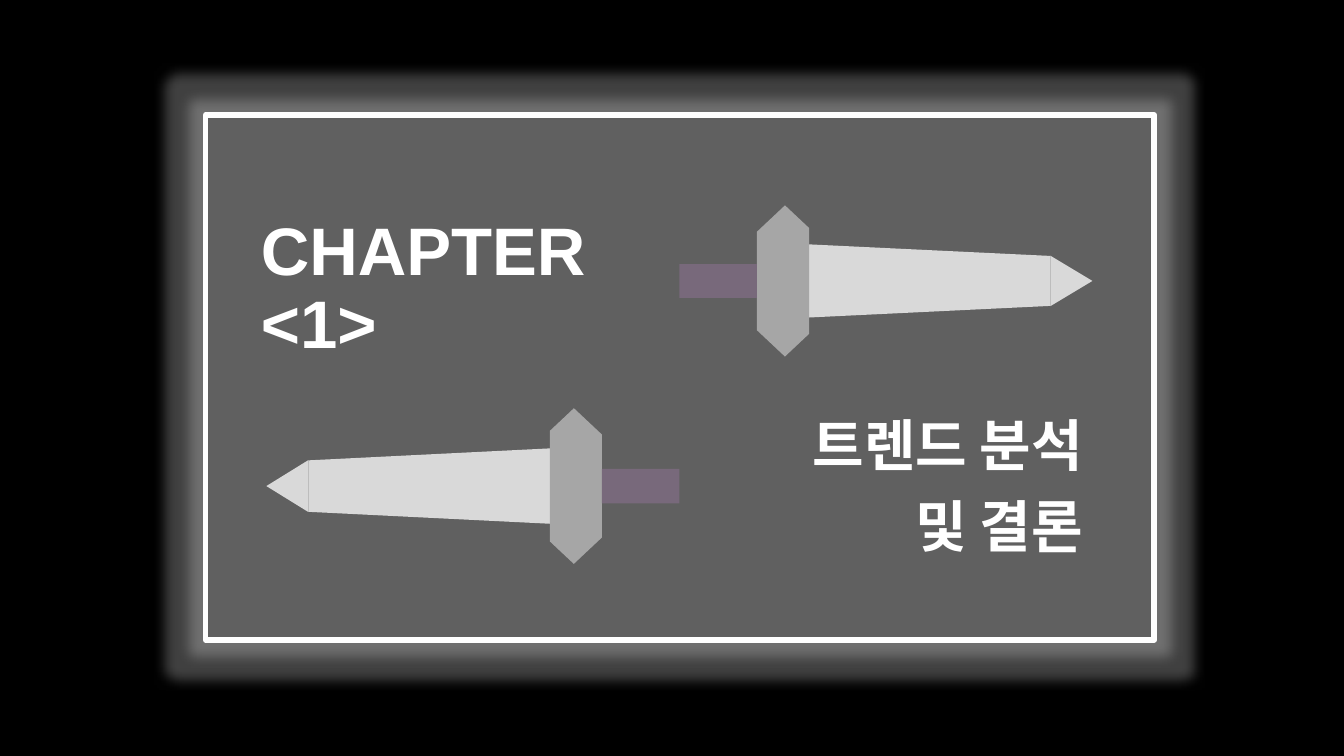
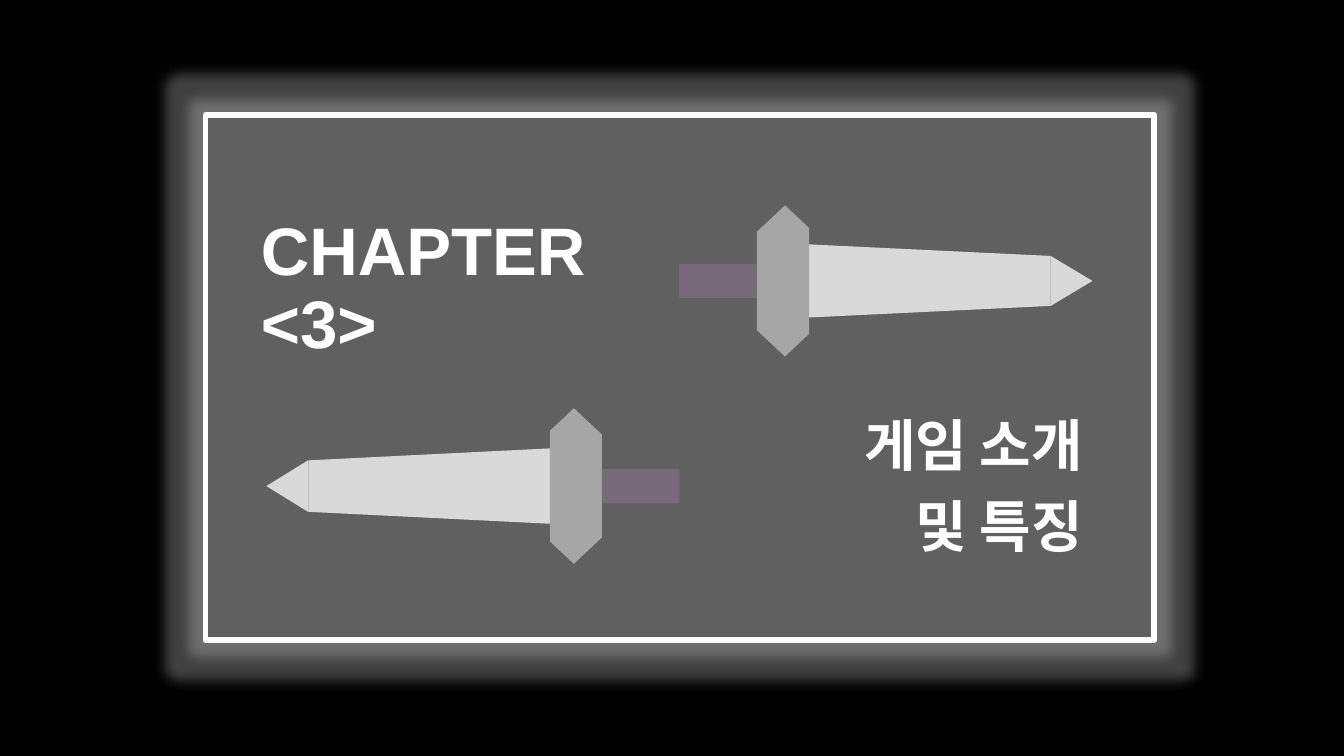
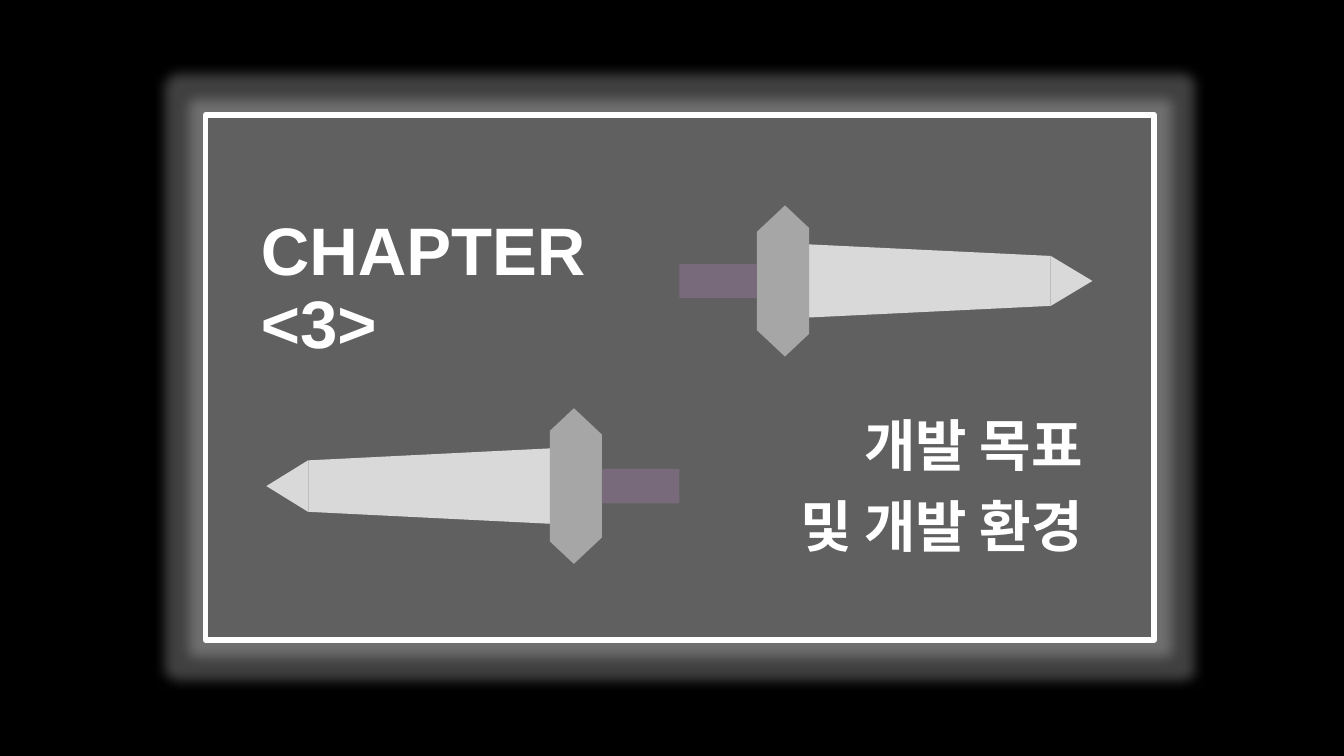
from lxml import etree
from pptx import Presentation
from pptx.dml.color import RGBColor
from pptx.enum.shapes import MSO_SHAPE
from pptx.enum.text import MSO_ANCHOR, PP_ALIGN
from pptx.oxml.ns import qn
from pptx.util import Pt

RECTANGLE = MSO_SHAPE.RECTANGLE
TRAPEZOID = MSO_SHAPE.TRAPEZOID
TRIANGLE = MSO_SHAPE.ISOSCELES_TRIANGLE
LEFT, RIGHT = PP_ALIGN.LEFT, PP_ALIGN.RIGHT
BOTTOM = MSO_ANCHOR.BOTTOM

COLORS = {
    "background": "000000",
    "panel": "262626",
    "white": "FFFFFF",
    "guard": "A6A6A6",
    "grip": "78697B",
    "blade": "D9D9D9",
}
FONT = "Arial"
SWORD_ORIGIN = 485.3
SWORD_PARTS = [
    (TRAPEZOID, "guard", 55.4, 20, 108, 0.94, True),
    (RECTANGLE, "grip", 0, 55.4, 24, None, False),
    (TRAPEZOID, "blade", 90, 175, 52.5, 0.16, False),
    (TRAPEZOID, "guard", 75.4, 17.2, 108, 0.94, False),
    (TRIANGLE, "blade", 265, 30, 36, None, False),
]
CHAPTERS = [
    ("<1>", ["트렌드 분석", "및 결론"]),
    ("<3>", ["게임 소개", "및 특징"]),
    ("<3>", ["개발 목표", "및 개발 환경"]),
]


def color(name):
    return RGBColor.from_string(COLORS[name])


def add_filled(shapes, preset, left, top, width, height, fill):
    shape = shapes.add_shape(preset, Pt(left), Pt(top), Pt(width), Pt(height))
    shape.shadow.inherit = False
    shape.fill.solid()
    shape.fill.fore_color.rgb = color(fill)
    shape.line.fill.background()
    return shape


def add_alpha(color_element, percent):
    etree.SubElement(color_element, qn("a:alpha"), val=str(percent * 1000))


def add_panel(page):
    panel = add_filled(page.shapes, RECTANGLE, 146.9, 82.1, 677.5, 375.1, "panel")
    panel.line.color.rgb = color("white")
    panel.line.width = Pt(4)
    properties = panel.element.spPr
    add_alpha(properties.find(qn("a:solidFill")).find(qn("a:srgbClr")), 20)
    effects = properties.find(qn("a:effectLst"))
    glow = etree.SubElement(effects, qn("a:glow"), rad=str(Pt(18)))
    glow_color = etree.SubElement(glow, qn("a:srgbClr"), val=COLORS["white"])
    add_alpha(glow_color, 25)


def add_sword(page, middle, direction, scale=1):
    sword = page.shapes.add_group_shape()
    for preset, fill, start, length, breadth, slope, backward in SWORD_PARTS:
        breadth *= scale
        center = SWORD_ORIGIN + direction * (start + length / 2)
        part = add_filled(sword.shapes, preset, center - breadth / 2,
                          middle - length / 2, breadth, length, fill)
        part.rotation = 90 * direction + 180 * backward
        if slope is not None:
            part.adjustments[0] = slope


def add_text(page, lines, left, top, width, height, size, align):
    box = page.shapes.add_textbox(Pt(left), Pt(top), Pt(width), Pt(height))
    frame = box.text_frame
    frame.word_wrap = True
    frame.vertical_anchor = BOTTOM
    frame.text = "\n".join(lines)
    for para in frame.paragraphs:
        para.alignment = align
        para.line_spacing = 0.9
        para.font.name = FONT
        para.font.size = Pt(size)
        para.font.bold = True
        para.font.color.rgb = color("white")


def add_chapter(deck, number, title_lines):
    page = deck.slides.add_slide(deck.slide_layouts[6])
    page.background.fill.solid()
    page.background.fill.fore_color.rgb = color("background")
    add_panel(page)
    add_sword(page, 200.7, 1)
    add_sword(page, 347.2, -1, 1.03)
    add_text(page, ["CHAPTER", number], 179.3, 137.5, 272, 125.3, 48, LEFT)
    for index, line in enumerate(title_lines):
        add_text(page, [line], 486, 290.2 + 57.6 * index, 294.5, 55.4, 40, RIGHT)


def main():
    deck = Presentation()
    deck.slide_width, deck.slide_height = Pt(960), Pt(540)
    for number, title_lines in CHAPTERS:
        add_chapter(deck, number, title_lines)
    deck.save("out.pptx")


if __name__ == "__main__":
    main()
